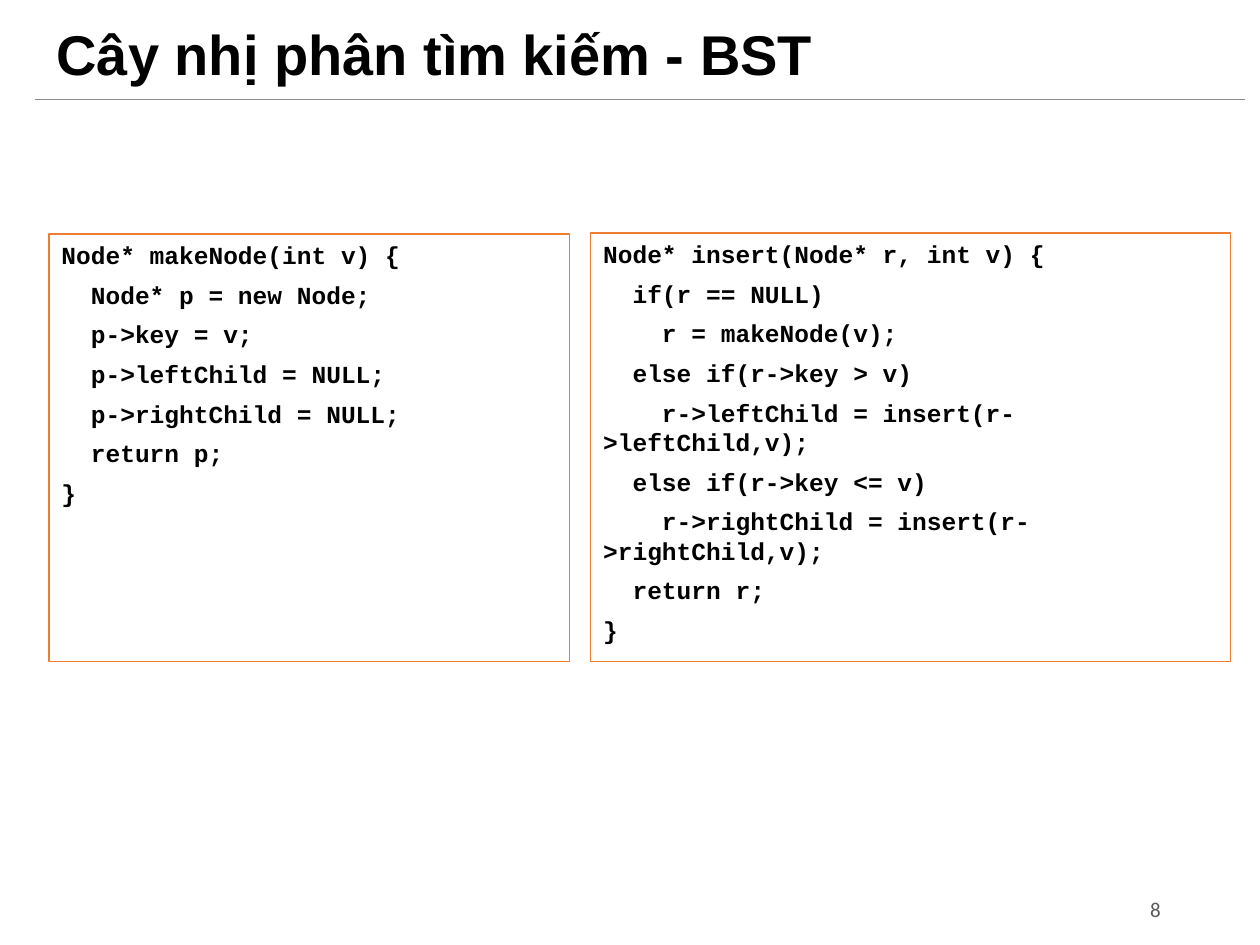
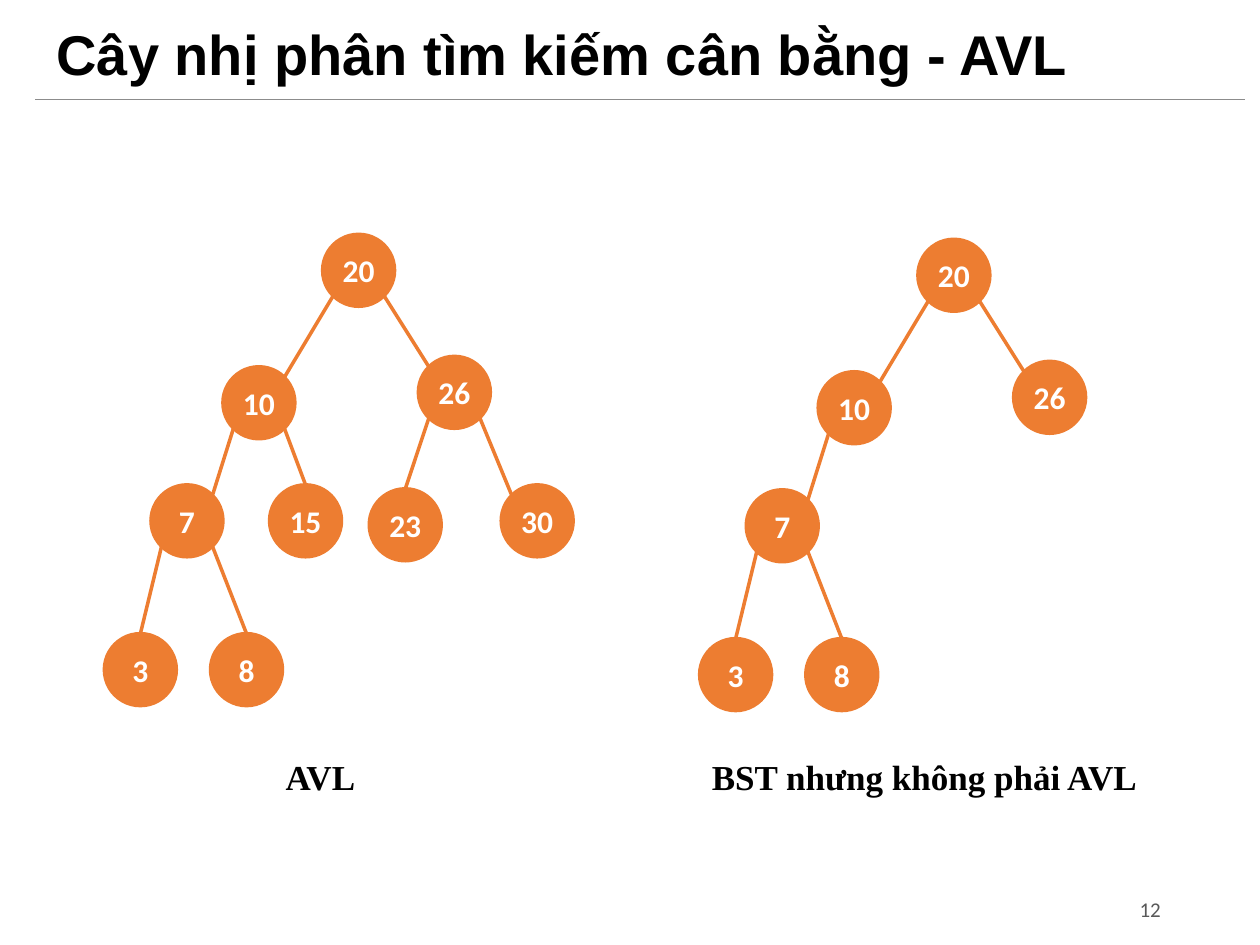
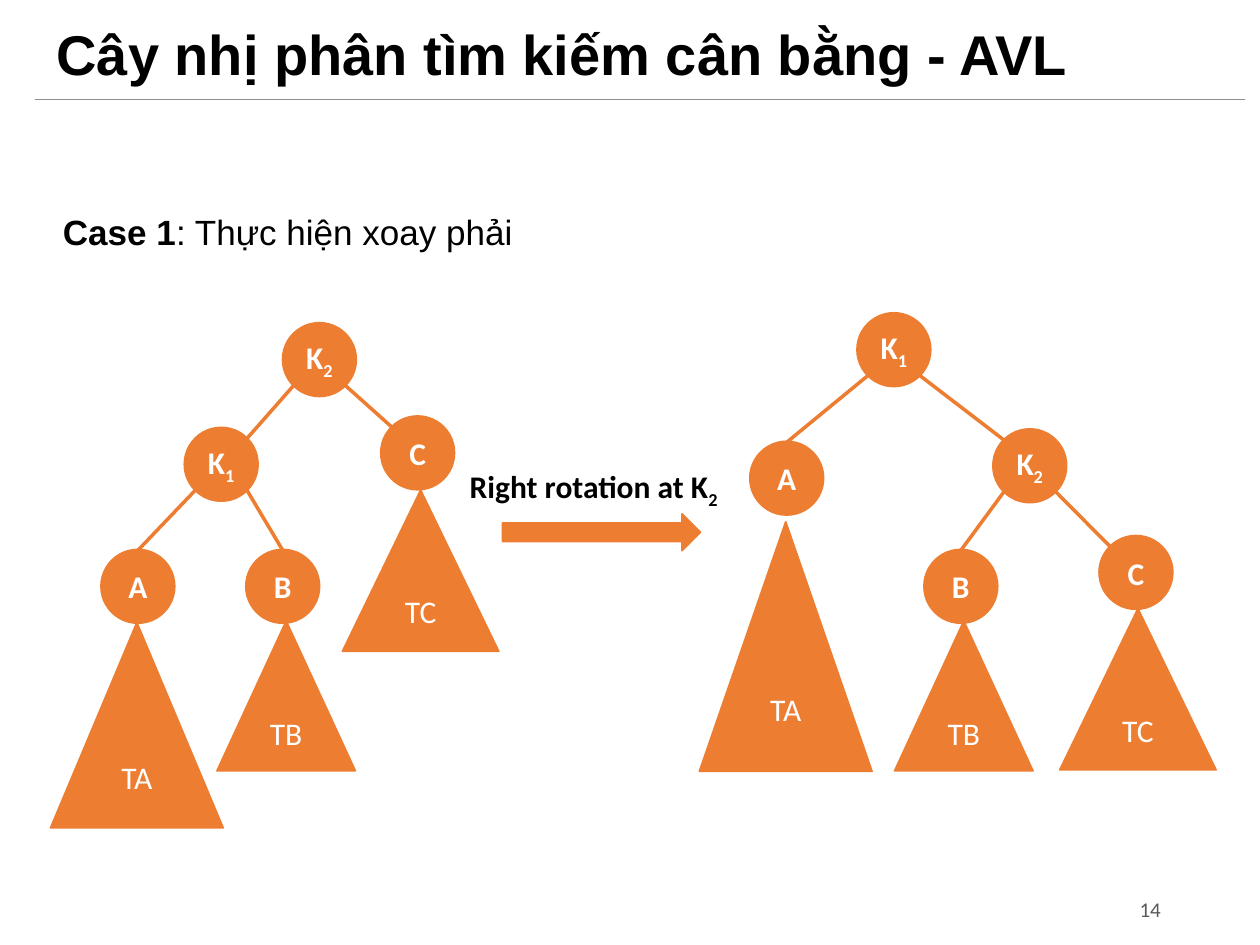
from collections import namedtuple
from math import copysign, sqrt

from lxml import etree
from pptx import Presentation
from pptx.dml.color import RGBColor
from pptx.enum.shapes import MSO_CONNECTOR, MSO_SHAPE
from pptx.enum.text import MSO_ANCHOR, PP_ALIGN
from pptx.oxml.ns import qn
from pptx.util import Cm, Pt

LEFT, CENTER, RIGHT = PP_ALIGN.LEFT, PP_ALIGN.CENTER, PP_ALIGN.RIGHT
TOP, MIDDLE = MSO_ANCHOR.TOP, MSO_ANCHOR.MIDDLE
STRAIGHT = MSO_CONNECTOR.STRAIGHT
RECTANGLE = MSO_SHAPE.RECTANGLE
CIRCLE = MSO_SHAPE.FLOWCHART_CONNECTOR
TRIANGLE = MSO_SHAPE.ISOSCELES_TRIANGLE
RIGHT_ARROW = MSO_SHAPE.RIGHT_ARROW

ORANGE, BLACK, WHITE = "ED7D31", "000000", "FFFFFF"
RULE_GRAY, NUMBER_GRAY = "8C8C8C", "595959"

Type = namedtuple("Type", "font size color bold")
TITLE = Type("Arial", 32, BLACK, True)
NUMBER = Type("Calibri", 12, NUMBER_GRAY, False)
CODE = Type("Courier New", 14, BLACK, True)
CAPTION = Type("Times New Roman", 20, BLACK, True)
BODY = Type("Arial", 20, BLACK, False)
NODE = Type("Calibri", 18, WHITE, True)
SUBTREE = NODE._replace(bold=False)
ARROW_LABEL = NODE._replace(color=BLACK)

DIAMETER = 1.45
RADIUS = DIAMETER / 2
DIAGONAL = RADIUS / sqrt(2)

MAKE_NODE = """Node* makeNode(int v) {
  Node* p = new Node;
  p->key = v;
  p->leftChild = NULL;
  p->rightChild = NULL;
  return p;
}"""

INSERT = """Node* insert(Node* r, int v) {
  if(r == NULL)
    r = makeNode(v);
  else if(r->key > v)
    r->leftChild = insert(r->leftChild,v);
  else if(r->key <= v)
    r->rightChild = insert(r->rightChild,v);
  return r;
}"""

# Node centres in cm; each edge is parent, child, where it meets the child.
AVL_NODES = {
    "20": (7.23, 5.45), "10": (5.22, 8.12), "26": (9.16, 7.91),
    "7": (3.77, 10.5), "15": (6.16, 10.5), "23": (8.17, 10.58),
    "30": (10.83, 10.5), "3": (2.83, 13.5), "8": (4.97, 13.5),
}
AVL_EDGES = [
    ("20", "10", "corner"), ("20", "26", "corner"), ("10", "7", "corner"),
    ("10", "15", "top"), ("26", "23", "top"), ("26", "30", "corner"),
    ("7", "3", "top"), ("7", "8", "top"),
]
MISSING_IN_BST = {"15", "23", "30"}
BST_SHIFT = (12, 0.1)

BEFORE_NODES = {
    "K2": (6.44, 7.25), "K1": (4.46, 9.36), "C": (8.42, 9.13),
    "A": (2.78, 11.82), "B": (5.7, 11.82),
}
BEFORE_EDGES = [
    ("K2", "K1", "corner"), ("K2", "C", "corner"),
    ("K1", "A", "top"), ("K1", "B", "top"),
]
AFTER_NODES = {
    "K1": (18.02, 7.05), "A": (15.86, 9.64), "K2": (20.76, 9.39),
    "B": (19.37, 11.82), "C": (22.9, 11.54),
}
AFTER_EDGES = [
    ("K1", "A", "top"), ("K1", "K2", "corner"),
    ("K2", "B", "top"), ("K2", "C", "corner"),
]

# Label, apex x, apex y, width, height
SUBTREES = [
    ("TA", 2.76, 12.55, 3.48, 4.14), ("TB", 5.77, 12.52, 2.79, 3.02),
    ("TC", 8.48, 9.88, 3.15, 3.25), ("TA", 15.84, 10.52, 3.48, 5.03),
    ("TB", 19.43, 12.52, 2.79, 3.02), ("TC", 22.94, 12.27, 3.15, 3.25),
]


def rgb(color):
    return RGBColor.from_string(color)


class Slides:
    def __init__(self):
        self.deck = Presentation()
        self.deck.slide_width, self.deck.slide_height = Cm(25.4), Cm(19.05)
        self.page = None

    def new_page(self, title, number):
        self.page = self.deck.slides.add_slide(self.deck.slide_layouts[6])
        heading = self.text(0.89, 0.33, 23.24, 1.65, [title], TITLE, anchor=MIDDLE)
        heading.text_frame.paragraphs[0].line_spacing = 0.9
        self.text(20.47, 17.81, 3.18, 1.02, [str(number)], NUMBER, RIGHT, MIDDLE)
        self.line((0.71, 2.01), (25.1, 2.01), RULE_GRAY, 0.75)

    def fill_text(self, box, lines, style, align=LEFT, anchor=TOP, gap=0):
        """Fill box; a line is a string or a list of (text, font changes)."""
        frame = box.text_frame
        frame.word_wrap = True
        frame.vertical_anchor = anchor
        for index, line in enumerate(lines):
            para = frame.add_paragraph() if index else frame.paragraphs[0]
            para.alignment = align
            para.space_before = Pt(gap if index else 0)
            for text, changes in [(line, {})] if isinstance(line, str) else line:
                self.span(para, text, style, **changes)

    def span(self, para, text, style, bold=None, subscript=False):
        span = para.add_run()
        span.text = text
        span.font.name = style.font
        span.font.size = Pt(style.size)
        span.font.bold = style.bold if bold is None else bold
        span.font.color.rgb = rgb(style.color)
        if subscript:
            span.font._element.set("baseline", "-25000")

    def text(self, left, top, width, height, lines, style, align=LEFT, anchor=TOP):
        box = self.page.shapes.add_textbox(Cm(left), Cm(top), Cm(width), Cm(height))
        self.fill_text(box, lines, style, align, anchor)
        return box

    def shape(self, kind, left, top, width, height, fill=ORANGE, weight=1):
        shape = self.page.shapes.add_shape(
            kind, Cm(left), Cm(top), Cm(width), Cm(height))
        shape.shadow.inherit = False
        if fill:
            shape.fill.solid()
            shape.fill.fore_color.rgb = rgb(fill)
        else:
            shape.fill.background()
        shape.line.color.rgb = rgb(ORANGE)
        shape.line.width = Pt(weight)
        return shape

    def line(self, start, end, color=ORANGE, weight=2):
        line = self.page.shapes.add_connector(
            STRAIGHT, *[Cm(value) for value in (*start, *end)])
        line.line.color.rgb = rgb(color)
        line.line.width = Pt(weight)
        etree.SubElement(line._element.spPr, qn("a:effectLst"))

    def code(self, left, top, width, height, source):
        box = self.shape(RECTANGLE, left, top, width, height, None, 0.75)
        self.fill_text(box, source.splitlines(), CODE, gap=5.8)

    def node(self, label, x, y):
        """Draw a node centred on x, y; a digit after K becomes a subscript."""
        circle = self.shape(
            CIRCLE, x - RADIUS, y - RADIUS, DIAMETER, DIAMETER, weight=2)
        frame = circle.text_frame
        frame.margin_left = frame.margin_right = 0
        frame.margin_top = frame.margin_bottom = 0
        line = label
        if label.startswith("K"):
            line = [("K", {}), (label[1:], {"subscript": True})]
        self.fill_text(circle, [line], NODE, CENTER, MIDDLE)

    def edge(self, parent, child, end):
        side = copysign(DIAGONAL, child[0] - parent[0])
        start = parent[0] + side, parent[1] + DIAGONAL
        if end == "top":
            self.line(start, (child[0], child[1] - RADIUS))
        else:
            self.line(start, (child[0] - side, child[1] - DIAGONAL))

    def tree(self, nodes, edges):
        for label, centre in nodes.items():
            self.node(label, *centre)
        for parent, child, end in edges:
            self.edge(nodes[parent], nodes[child], end)

    def subtree(self, label, x, top, width, height):
        triangle = self.shape(TRIANGLE, x - width / 2, top, width, height)
        self.fill_text(triangle, [label], SUBTREE, CENTER, MIDDLE)


def bst_code(slides):
    slides.new_page("Cây nhị phân tìm kiếm - BST", 8)
    slides.code(0.99, 4.72, 10.49, 8.61, MAKE_NODE)
    slides.code(11.91, 4.7, 12.9, 8.63, INSERT)


def avl_and_bst(slides):
    slides.new_page("Cây nhị phân tìm kiếm cân bằng - AVL", 12)
    slides.tree(AVL_NODES, AVL_EDGES)
    dx, dy = BST_SHIFT
    bst_nodes = {label: (x + dx, y + dy) for label, (x, y) in AVL_NODES.items()
                 if label not in MISSING_IN_BST}
    slides.tree(bst_nodes, [edge for edge in AVL_EDGES if edge[1] in bst_nodes])
    slides.text(5.51, 15.11, 4.62, 1.12, ["AVL"], CAPTION)
    slides.text(14.1, 15.11, 10.59, 1.12, ["BST nhưng không phải AVL"], CAPTION)


def right_rotation(slides):
    slides.new_page("Cây nhị phân tìm kiếm cân bằng - AVL", 14)
    case = [("Case 1", {"bold": True}), (": Thực hiện xoay phải", {})]
    slides.text(1.02, 4.11, 22.07, 1.12, [case], BODY)
    for subtree in SUBTREES:
        slides.subtree(*subtree)
    slides.tree(BEFORE_NODES, BEFORE_EDGES)
    slides.tree(AFTER_NODES, AFTER_EDGES)
    slides.shape(RIGHT_ARROW, 10.13, 10.36, 3.99, 0.74)
    label = [("Right rotation at K", {}), ("2", {"subscript": True})]
    slides.text(9.22, 9.3, 5.66, 1.02, [label], ARROW_LABEL)


def main():
    slides = Slides()
    bst_code(slides)
    avl_and_bst(slides)
    right_rotation(slides)
    slides.deck.save("out.pptx")


if __name__ == "__main__":
    main()
